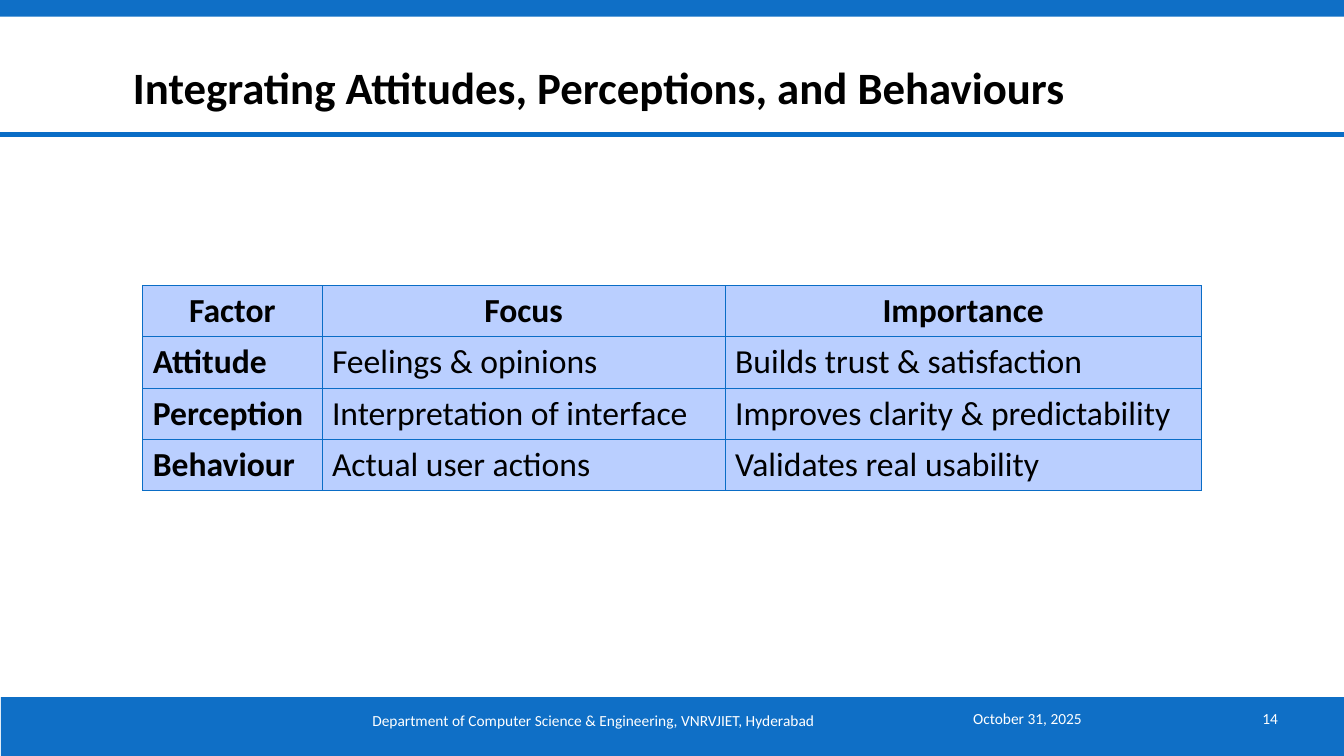
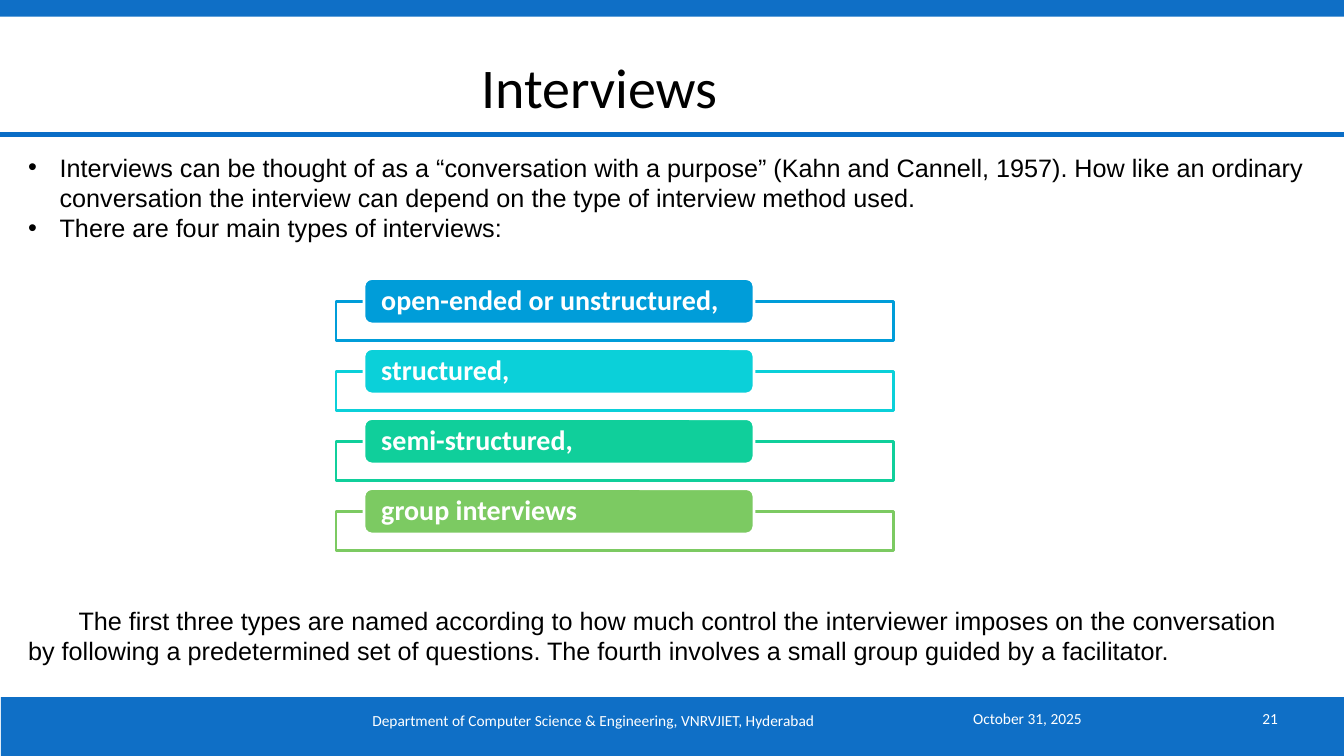
from lxml.etree import SubElement
from pptx import Presentation
from pptx.dml.color import RGBColor
from pptx.enum.shapes import MSO_CONNECTOR, MSO_SHAPE
from pptx.enum.text import MSO_ANCHOR, PP_ALIGN
from pptx.oxml.ns import qn
from pptx.util import Pt

BAND, RULE, CELL = "0F6FC6", "0A6DC6", "BACFFF"
BLACK, WHITE = "000000", "FFFFFF"
HEAD, BODY = "Calibri", "Arial"
LEFT, CENTER, RIGHT = PP_ALIGN.LEFT, PP_ALIGN.CENTER, PP_ALIGN.RIGHT
WIDTH, HEIGHT = 960, 540


def rgb(color):
    return RGBColor.from_string(color)


class Deck:
    """Holds the shared style and the current slide."""

    def __init__(self):
        self.prs = Presentation()
        self.prs.slide_width, self.prs.slide_height = Pt(WIDTH), Pt(HEIGHT)
        self.s = None

    def slide(self, title, size, number, bold=False):
        self.s = self.prs.slides.add_slide(self.prs.slide_layouts[6])
        # Bands and rule
        self.shape(0.7, 498, WIDTH - 0.7, 42, fill=BAND)
        self.shape(0, 0, WIDTH, 12, fill=BAND)
        self.rule(96)
        # Title
        tf = self.box(16, 27.2, 824, 68.6, MSO_ANCHOR.MIDDLE)
        self.text(tf.paragraphs[0], title, size, bold=bold, align=CENTER)
        # Footer
        footer = (
            ("October 31, 2025", 688, 499, 144, LEFT),
            ("Department of Computer Science & Engineering, VNRVJIET, Hyderabad",
             160, 500, 528, CENTER),
            (str(number), 840, 499, 80, RIGHT),
        )
        for words, x, y, w, align in footer:
            tf = self.box(x, y, w, 28.8, MSO_ANCHOR.MIDDLE)
            self.text(tf.paragraphs[0], words, 11, color=WHITE, align=align)

    def shape(self, x, y, w, h, kind=MSO_SHAPE.RECTANGLE, fill=WHITE, line=None):
        sp = self.s.shapes.add_shape(kind, Pt(x), Pt(y), Pt(w), Pt(h))
        sp.shadow.inherit = False
        sp.fill.solid()
        sp.fill.fore_color.rgb = rgb(fill)
        if line:
            sp.line.color.rgb = rgb(line)
            sp.line.width = Pt(2)
        else:
            sp.line.fill.background()
        return sp

    def rule(self, y):
        line = self.s.shapes.add_connector(
            MSO_CONNECTOR.STRAIGHT, Pt(0), Pt(y), Pt(WIDTH), Pt(y))
        line.line.color.rgb = rgb(RULE)
        line.line.width = Pt(4)
        SubElement(line._element.spPr, qn("a:effectLst"))

    def box(self, x, y, w, h, anchor=MSO_ANCHOR.TOP):
        tf = self.s.shapes.add_textbox(Pt(x), Pt(y), Pt(w), Pt(h)).text_frame
        tf.word_wrap = True
        tf.vertical_anchor = anchor
        return tf

    def text(self, p, words, size, font=HEAD, color=BLACK, bold=False, align=LEFT):
        p.alignment = align
        r = p.add_run()
        r.text = words
        r.font.name, r.font.size, r.font.bold = font, Pt(size), bold
        r.font.color.rgb = rgb(color)

    def body(self, y, h, paragraphs, indent, margin=0, bullet=None):
        tf = self.box(13, y, 926, h)
        for i, words in enumerate(paragraphs):
            p = tf.add_paragraph() if i else tf.paragraphs[0]
            p.line_spacing = Pt(21.6)
            pPr = p._p.get_or_add_pPr()
            pPr.set("marL", str(Pt(margin)))
            pPr.set("indent", str(Pt(indent)))
            if bullet:
                SubElement(pPr, qn("a:buFont"), typeface=BODY)
                SubElement(pPr, qn("a:buChar"), char=bullet)
            self.text(p, words, 18, font=BODY)

    def table(self, x, y, widths, row_height, rows):
        tbl = self.s.shapes.add_table(
            len(rows), len(widths), Pt(x), Pt(y),
            Pt(sum(widths)), Pt(row_height * len(rows))).table
        tbl.horz_banding = False
        for col, width in zip(tbl.columns, widths):
            col.width = Pt(width)
        for i, row in enumerate(rows):
            tbl.rows[i].height = Pt(row_height)
            for j, words in enumerate(row):
                cell = tbl.cell(i, j)
                cell.vertical_anchor = MSO_ANCHOR.MIDDLE
                self.borders(cell)
                cell.fill.solid()
                cell.fill.fore_color.rgb = rgb(CELL)
                self.text(cell.text_frame.paragraphs[0], words, 24,
                          bold=i == 0 or j == 0, align=LEFT if i else CENTER)

    def borders(self, cell):
        tcPr = cell._tc.get_or_add_tcPr()
        for side in ("lnL", "lnR", "lnT", "lnB"):
            ln = SubElement(tcPr, qn("a:" + side), w=str(Pt(0.75)))
            SubElement(SubElement(ln, qn("a:solidFill")), qn("a:srgbClr"), val=RULE)

    def tab_card(self, y, words, color):
        self.shape(240, y + 16.2, 398, 28, line=color)
        sp = self.shape(260, y, 278.6, 32.4, MSO_SHAPE.ROUNDED_RECTANGLE, color, WHITE)
        tf = sp.text_frame
        tf.word_wrap = True
        tf.vertical_anchor = MSO_ANCHOR.MIDDLE
        tf.margin_left = tf.margin_right = Pt(10.8)
        tf.margin_top = tf.margin_bottom = 0
        tf.paragraphs[0].line_spacing = 0.9
        self.text(tf.paragraphs[0], words, 20, color=WHITE, bold=True)


def main():
    deck = Deck()

    # Factors table
    deck.slide("Integrating Attitudes, Perceptions, and Behaviours", 32, 14, bold=True)
    deck.table(102, 204, (128, 288, 340), 36.6, (
        ("Factor", "Focus", "Importance"),
        ("Attitude", "Feelings & opinions", "Builds trust & satisfaction"),
        ("Perception", "Interpretation of interface", "Improves clarity & predictability"),
        ("Behaviour", "Actual user actions", "Validates real usability"),
    ))

    # Interview types
    deck.slide("Interviews", 40, 21)
    deck.body(105, 72, (
        "Interviews can be thought of as a “conversation with a purpose” (Kahn and "
        "Cannell, 1957). How like an ordinary conversation the interview can depend "
        "on the type of interview method used.",
        "There are four main types of interviews:",
    ), indent=-22.5, margin=22.5, bullet="•")
    cards = (
        ("open-ended or unstructured,", "009DD9"),
        ("structured,", "0BD0D9"),
        ("semi-structured,", "10CF9B"),
        ("group interviews", "7CCA62"),
    )
    for i, (words, color) in enumerate(cards):
        deck.tab_card(199 + 50 * i, words, color)
    deck.body(429, 54, (
        "The first three types are named according to how much control the interviewer "
        "imposes on the conversation by following a predetermined set of questions. "
        "The fourth involves a small group guided by a facilitator.",
    ), indent=36)

    deck.prs.save("out.pptx")


if __name__ == "__main__":
    main()
